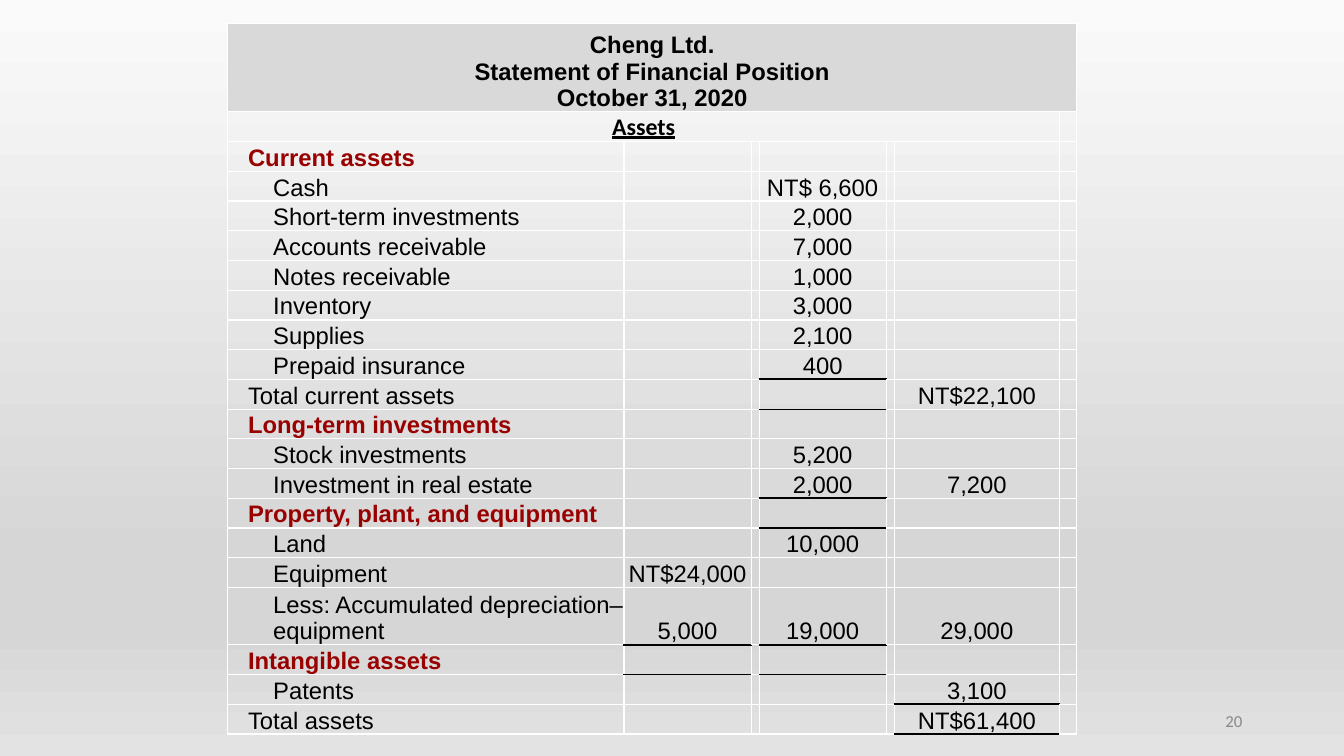
from dataclasses import dataclass, field

from pptx import Presentation
from pptx import util as u
from pptx.dml.color import RGBColor
from pptx.enum import text
from pptx.oxml import parse_xml
from pptx.oxml.ns import nsdecls

COLORS = {
    "ink": "000000",
    "heading": "990000",
    "banner": "D9D9D9",
    "grid": "FFFFFF",
    "page": "888888",
}
BACKDROP = [(0, "FAFAFA"), (74, "D6D6D6"), (83, "D6D6D6"), (100, "E3E3E3")]

COLUMN_WIDTHS = [3.93, 1.26, 0.08, 1.26, 0.08, 1.64, 0.17]
SUB, DETAIL, TOTAL = 1, 3, 5  # the amount columns
BANNER_HEIGHT, ROW_HEIGHT, TWO_LINE_HEIGHT = 0.88, 0.295, 0.57
GRID_PT, THIN_PT, RULE_PT = 1, 1, 1.5


@dataclass
class Entry:
    """One statement line: amounts and rules (in points) by column."""
    label: str
    kind: str = "item"  # item, heading or total
    amounts: dict[int, str] = field(default_factory=dict)
    rules: dict[int, float] = field(default_factory=dict)
    height: float = ROW_HEIGHT


ENTRIES = [
    Entry("Current assets", "heading"),
    Entry("Cash", amounts={DETAIL: "NT$ 6,600"}),
    Entry("Short-term investments", amounts={DETAIL: "2,000"}),
    Entry("Accounts receivable", amounts={DETAIL: "7,000"}),
    Entry("Notes receivable", amounts={DETAIL: "1,000"}),
    Entry("Inventory", amounts={DETAIL: "3,000"}),
    Entry("Supplies", amounts={DETAIL: "2,100"}),
    Entry("Prepaid insurance", amounts={DETAIL: "400"}, rules={DETAIL: RULE_PT}),
    Entry("Total current assets", "total", {TOTAL: "NT$22,100"}, {DETAIL: THIN_PT}),
    Entry("Long-term investments", "heading"),
    Entry("Stock investments", amounts={DETAIL: "5,200"}),
    Entry("Investment in real estate", amounts={DETAIL: "2,000", TOTAL: "7,200"},
          rules={DETAIL: RULE_PT}),
    Entry("Property, plant, and equipment", "heading", rules={DETAIL: THIN_PT}),
    Entry("Land", amounts={DETAIL: "10,000"}),
    Entry("Equipment", amounts={SUB: "NT$24,000"}),
    Entry("Less: Accumulated depreciation– equipment",
          amounts={SUB: "5,000", DETAIL: "19,000", TOTAL: "29,000"},
          rules={SUB: RULE_PT, DETAIL: RULE_PT}, height=TWO_LINE_HEIGHT),
    Entry("Intangible assets", "heading", rules={SUB: THIN_PT, DETAIL: THIN_PT}),
    Entry("Patents", amounts={TOTAL: "3,100"}, rules={TOTAL: RULE_PT}),
    Entry("Total assets", "total", {TOTAL: "NT$61,400"}, {TOTAL: RULE_PT}),
]


def add_text(paragraph, words: str, size: float = 17, font: str = "Arial",
             color: str = "ink", bold: bool = False, underline: bool = False,
             align=text.PP_ALIGN.CENTER) -> None:
    paragraph.alignment = align
    run = paragraph.add_run()
    run.text = words
    run.font.size = u.Pt(size)
    run.font.name = font
    run.font.bold = bold
    run.font.underline = underline
    run.font.color.rgb = RGBColor.from_string(COLORS[color])


def set_borders(cell, top: float | None, bottom: float | None) -> None:
    """Black rules of the given weight at top and bottom, white grid elsewhere."""
    properties = cell._tc.get_or_add_tcPr()
    for place, (side, rule) in enumerate(
            [("L", None), ("R", None), ("T", top), ("B", bottom)]):
        color = COLORS["ink" if rule else "grid"]
        properties.insert(place, parse_xml(
            f'<a:ln{side} {nsdecls("a")} w="{u.Pt(rule or GRID_PT)}">'
            f'<a:solidFill><a:srgbClr val="{color}"/></a:solidFill></a:ln{side}>'))


def set_backdrop(slide) -> None:
    stops = "".join(f'<a:gs pos="{pos * 1000}"><a:srgbClr val="{color}"/></a:gs>'
                    for pos, color in BACKDROP)
    slide.element.cSld.insert(0, parse_xml(
        f'<p:bg {nsdecls("p", "a")}><p:bgPr><a:gradFill><a:gsLst>{stops}</a:gsLst>'
        '<a:lin ang="5400000" scaled="0"/></a:gradFill><a:effectLst/></p:bgPr></p:bg>'))


def write_entry(statement, row: int, entry: Entry) -> None:
    label = statement.cell(row, 0)
    label.margin_left = u.Inches(0.2)
    heading = entry.kind == "heading"
    paragraph = label.text_frame.paragraphs[0]
    add_text(paragraph, entry.label, color="heading" if heading else "ink",
             bold=heading, align=text.PP_ALIGN.LEFT)
    if entry.kind == "item":
        properties = paragraph._p.get_or_add_pPr()
        properties.set("marL", str(u.Inches(0.25)))
        properties.set("indent", "0")
    for column, amount in entry.amounts.items():
        add_text(statement.cell(row, column).text_frame.paragraphs[0], amount)


def add_statement(slide) -> None:
    heights = [BANNER_HEIGHT, ROW_HEIGHT] + [entry.height for entry in ENTRIES]
    rules = [{}, {}] + [entry.rules for entry in ENTRIES]
    statement = slide.shapes.add_table(
        len(heights), len(COLUMN_WIDTHS), u.Inches(2.26), u.Inches(0.23),
        u.Inches(sum(COLUMN_WIDTHS)), u.Inches(sum(heights))).table
    statement.first_row = statement.horz_banding = False
    for column, width in zip(statement.columns, COLUMN_WIDTHS):
        column.width = u.Inches(width)

    # Grid, rules and fills
    for r, height in enumerate(heights):
        statement.rows[r].height = u.Inches(height)
        for c in range(len(COLUMN_WIDTHS)):
            cell = statement.cell(r, c)
            cell.margin_left = cell.margin_right = 0
            cell.margin_top = cell.margin_bottom = 0
            cell.vertical_anchor = text.MSO_ANCHOR.BOTTOM
            if r == 0:
                cell.fill.solid()
                cell.fill.fore_color.rgb = RGBColor.from_string(COLORS["banner"])
            else:
                cell.fill.background()
            set_borders(cell, rules[r - 1].get(c) if r else None, rules[r].get(c))

    # Banner and section title
    banner = statement.cell(0, 0)
    banner.merge(statement.cell(0, 6))
    frame = banner.text_frame
    for i, line in enumerate(["Cheng Ltd.", "Statement of Financial Position",
                              "October 31, 2020"]):
        add_text(frame.add_paragraph() if i else frame.paragraphs[0], line, bold=True)
    assets = statement.cell(1, 0)
    assets.merge(statement.cell(1, 5))
    add_text(assets.text_frame.paragraphs[0], "Assets", font="Calibri",
             bold=True, underline=True)

    for r, entry in enumerate(ENTRIES, start=2):
        write_entry(statement, r, entry)

    # Small type in empty cells keeps the rows at their set height
    for cell in statement.iter_cells():
        if not cell.text_frame.text:
            cell.text_frame.paragraphs[0]._p.append(
                parse_xml(f'<a:endParaRPr {nsdecls("a")} sz="1000"/>'))


def add_page_number(slide) -> None:
    page = slide.shapes.add_textbox(
        u.Inches(9.42), u.Inches(6.95), u.Inches(3), u.Inches(0.4)).text_frame
    page.word_wrap = True
    page.vertical_anchor = text.MSO_ANCHOR.MIDDLE
    add_text(page.paragraphs[0], "20", size=12, font="Calibri", color="page",
             align=text.PP_ALIGN.RIGHT)


def main() -> None:
    deck = Presentation()
    deck.slide_width, deck.slide_height = u.Inches(13.33), u.Inches(7.5)
    slide = deck.slides.add_slide(deck.slide_layouts[6])
    set_backdrop(slide)
    add_page_number(slide)
    add_statement(slide)
    deck.save("out.pptx")


if __name__ == "__main__":
    main()
